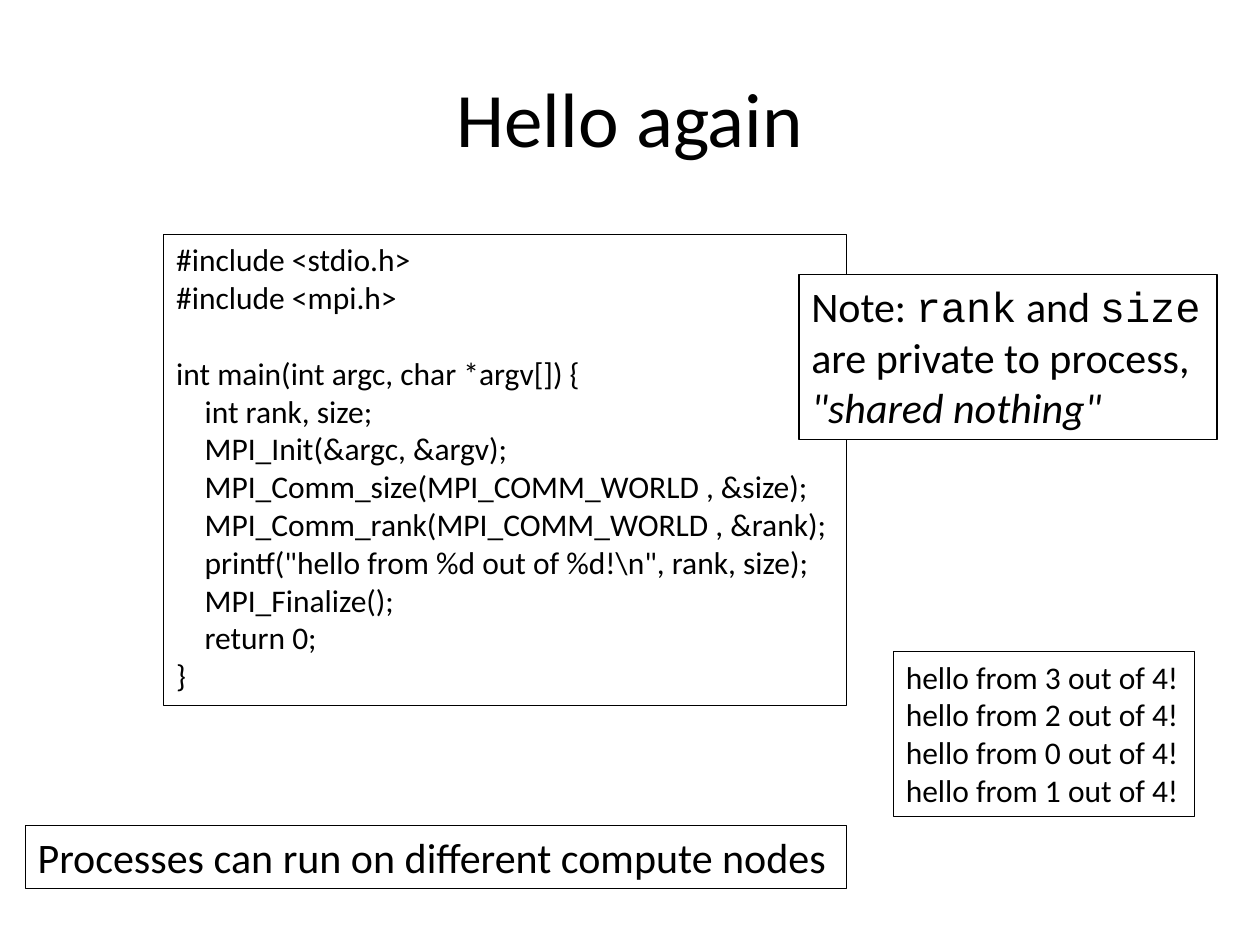
from dataclasses import dataclass

from pptx import Presentation
from pptx.dml.color import RGBColor
from pptx.enum.shapes import MSO_SHAPE
from pptx.enum.text import MSO_ANCHOR, MSO_AUTO_SIZE, PP_ALIGN
from pptx.util import Inches, Pt

BLACK = RGBColor(0x00, 0x00, 0x00)
WHITE = RGBColor(0xFF, 0xFF, 0xFF)
SANS = "Calibri"
MONO = "Courier New"

CODE = r"""#include <stdio.h>
#include <mpi.h>

int main(int argc, char *argv[]) {
    int rank, size;
    MPI_Init(&argc, &argv);
    MPI_Comm_size(MPI_COMM_WORLD , &size);
    MPI_Comm_rank(MPI_COMM_WORLD , &rank);
    printf("hello from %d out of %d!\n", rank, size);
    MPI_Finalize();
    return 0;
}"""


@dataclass
class Span:
    text: str
    face: str = SANS
    slant: bool = False
    wrap: bool = False  # start on a new line


@dataclass
class Box:
    left: float
    top: float
    width: float
    height: float
    paras: list[list[Span]]
    size: int = 18
    fill: RGBColor | None = None


def plain(lines: list[str]) -> list[list[Span]]:
    """Make one paragraph of a single span from each line."""
    return [[Span(line)] if line else [] for line in lines]


def write(frame, paras: list[list[Span]], *, size: int,
          align=PP_ALIGN.LEFT, anchor=MSO_ANCHOR.TOP, wrap: bool = False) -> None:
    frame.word_wrap = wrap
    frame.vertical_anchor = anchor
    for num, spans in enumerate(paras):
        para = frame.add_paragraph() if num else frame.paragraphs[0]
        para.alignment = align
        for span in spans:
            if span.wrap:
                para.add_line_break()
            run = para.add_run()
            run.text = span.text
            font = run.font
            font.name, font.size = span.face, Pt(size)
            font.color.rgb = BLACK
            if span.slant:
                font.italic = True


def draw(slide, box: Box) -> None:
    shape = slide.shapes.add_shape(
        MSO_SHAPE.RECTANGLE, Inches(box.left), Inches(box.top),
        Inches(box.width), Inches(box.height))
    shape.shadow.inherit = False
    if box.fill is None:
        shape.fill.background()
    else:
        shape.fill.solid()
        shape.fill.fore_color.rgb = box.fill
    shape.line.color.rgb = BLACK
    shape.line.width = Pt(0.75)
    write(shape.text_frame, box.paras, size=box.size)
    shape.text_frame.auto_size = MSO_AUTO_SIZE.SHAPE_TO_FIT_TEXT


NOTE = [[
    Span("Note: "), Span("rank", MONO), Span(" and "), Span("size", MONO),
    Span("are private to process,", wrap=True),
    Span('"shared nothing"', slant=True, wrap=True),
]]

BOXES = [
    Box(1.3, 1.86, 5.42, 3.74, plain(CODE.split("\n"))),
    Box(7.09, 5.17, 2.39, 1.31,
        plain([f"hello from {rank} out of 4!" for rank in (3, 2, 0, 1)])),
    Box(6.34, 2.18, 3.32, 1.31, NOTE, size=24, fill=WHITE),
    Box(0.2, 6.55, 6.52, 0.5,
        plain(["Processes can run on different compute nodes"]), size=24),
]


def main() -> None:
    deck = Presentation()
    deck.slide_width, deck.slide_height = Inches(10), Inches(7.5)
    slide = deck.slides.add_slide(deck.slide_layouts[6])
    title = slide.shapes.add_textbox(
        Inches(0.5), Inches(0.3), Inches(9), Inches(1.25))
    write(title.text_frame, plain(["Hello again"]), size=44,
          align=PP_ALIGN.CENTER, anchor=MSO_ANCHOR.MIDDLE, wrap=True)
    for box in BOXES:
        draw(slide, box)
    deck.save("out.pptx")


if __name__ == "__main__":
    main()
